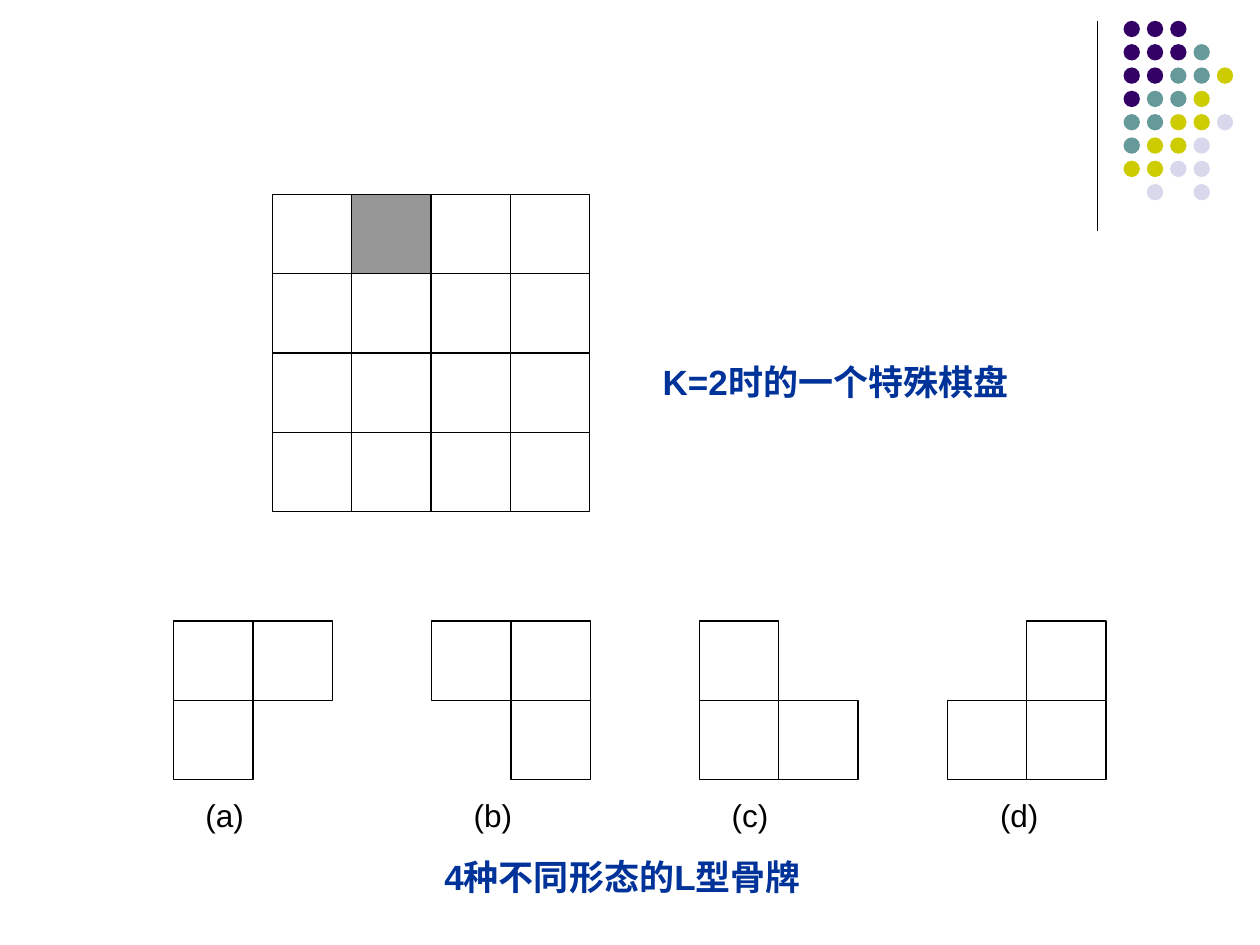
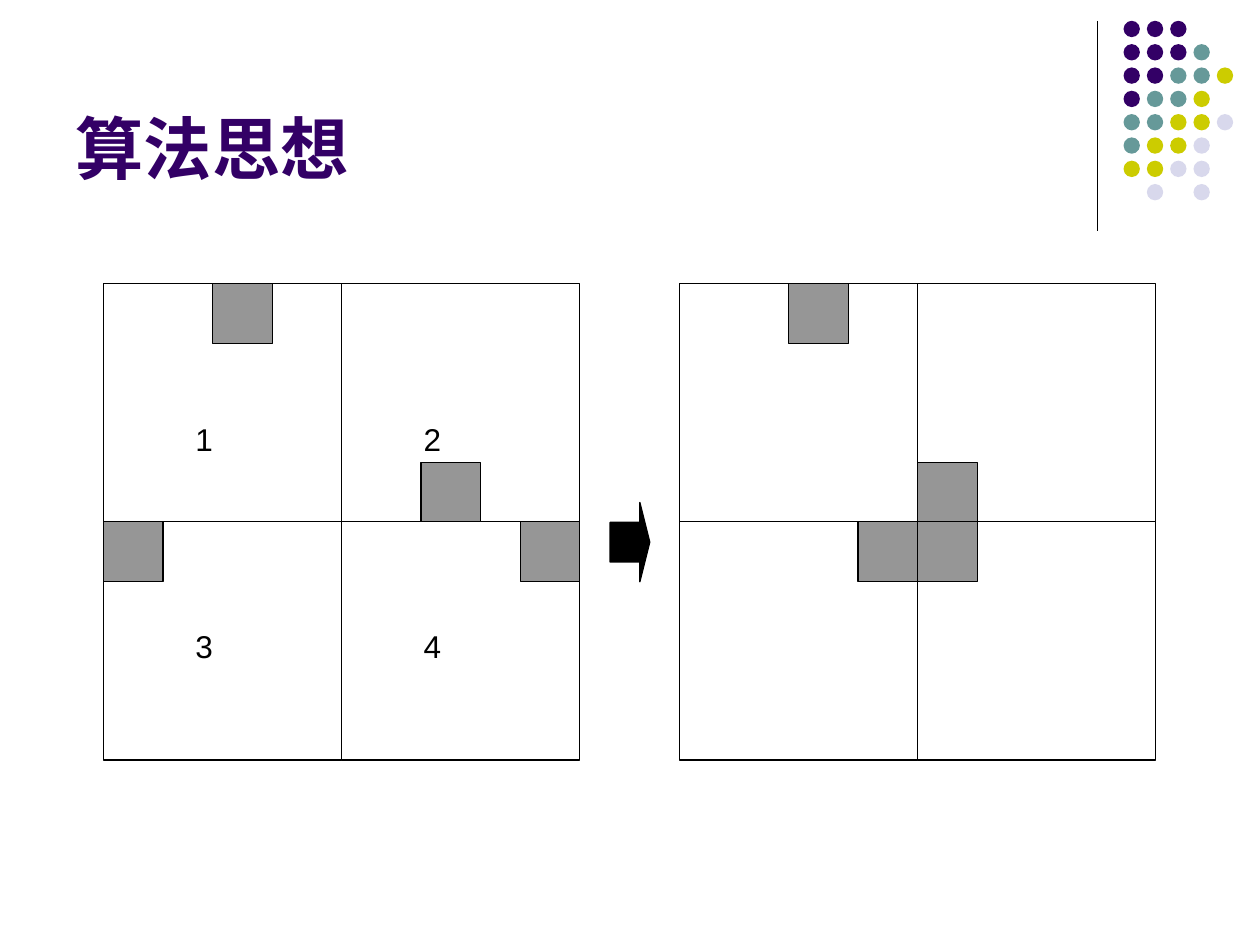
from dataclasses import dataclass

from lxml import etree
from pptx import Presentation
from pptx.dml.color import RGBColor
from pptx.enum import shapes, text
from pptx.oxml.ns import qn
from pptx.util import Cm, Pt


@dataclass(frozen=True)
class Theme:
    """Colours, type sizes and line width shared by the slides."""

    font: str = "Arial"
    ink: str = "000000"
    paper: str = "FFFFFF"
    marked: str = "969696"
    caption: str = "003399"
    purple: str = "330066"
    teal: str = "669999"
    olive: str = "CCCC00"
    pale: str = "D8D8EC"
    title_size: int = 39
    caption_size: int = 20
    label_size: int = 18
    line_width: float = 0.75


THEME = Theme()
CELL = 1.6
QUADRANT = 4.8
SMALL_CELL = QUADRANT / 4
DOT_ROWS = ("PPP", "PPPT", "PPTTY", "PTTY", "TTYYL", "TYYL", "YYLL", " L L")
DOT_COLORS = {"P": THEME.purple, "T": THEME.teal, "Y": THEME.olive, "L": THEME.pale}
DOMINOES = (
    ("(a)", 3.5, 3.89, ("##", "# ")),
    ("(b)", 8.7, 9.3, ("##", " #")),
    ("(c)", 14.1, 14.5, ("# ", "##")),
    ("(d)", 19.1, 19.91, (" #", "##")),
)
CELL_FILLS = {"#": THEME.paper, "X": THEME.marked}


def add_filled(parent, kind, x, y, w, h, fill, line=THEME.ink):
    """Add a flat preset shape, outlined unless line is None."""
    sp = parent.shapes.add_shape(kind, Cm(x), Cm(y), Cm(w), Cm(h))
    sp.shadow.inherit = False
    sp.fill.solid()
    sp.fill.fore_color.rgb = RGBColor.from_string(fill)
    if line is None:
        sp.line.fill.background()
    else:
        sp.line.color.rgb = RGBColor.from_string(line)
        sp.line.width = Pt(THEME.line_width)
    return sp


def add_square(parent, x, y, side, fill):
    """Add one outlined square."""
    return add_filled(parent, shapes.MSO_SHAPE.RECTANGLE, x, y, side, side, fill)


def add_pattern(slide, x, y, side, rows):
    """Add grouped squares wherever the rows of text hold a cell."""
    group = slide.shapes.add_group_shape()
    for i, row in enumerate(rows):
        for j, mark in enumerate(row):
            if mark in CELL_FILLS:
                add_square(group, x + j * side, y + i * side, side, CELL_FILLS[mark])
    return group


def format_paragraph(p, size, color, bold=False):
    """Set the font of a whole paragraph."""
    p.font.name = THEME.font
    p.font.size = Pt(size)
    p.font.bold = bold
    p.font.color.rgb = RGBColor.from_string(color)


def add_text(parent, content, x, y, w, h, size, color, bold=False):
    """Add a wrapped one-paragraph text box."""
    tf = parent.shapes.add_textbox(Cm(x), Cm(y), Cm(w), Cm(h)).text_frame
    tf.word_wrap = True
    p = tf.paragraphs[0]
    p.text = content
    format_paragraph(p, size, color, bold)


def add_label(parent, content, x, y, w):
    """Add a plain black label."""
    add_text(parent, content, x, y, w, 1.02, THEME.label_size, THEME.ink)


def add_caption(slide, content, x, y):
    """Add a bold blue caption."""
    add_text(slide, content, x, y, 8.2, 1.12, THEME.caption_size, THEME.caption, True)


def set_title(slide, content):
    """Fill and place the title placeholder."""
    sp = slide.shapes.title
    sp.left, sp.top, sp.width, sp.height = Cm(1.27), Cm(0.33), Cm(20.95), Cm(3.6)
    tf = sp.text_frame
    tf.auto_size = text.MSO_AUTO_SIZE.NONE
    tf.vertical_anchor = text.MSO_ANCHOR.BOTTOM
    p = tf.paragraphs[0]
    p.text = content
    p.alignment = text.PP_ALIGN.LEFT
    format_paragraph(p, THEME.title_size, THEME.purple, True)


def decorate_master(prs, slide):
    """Draw the corner rule and dots, then move them to the master."""
    rule = slide.shapes.add_connector(
        shapes.MSO_CONNECTOR.STRAIGHT, Cm(22.12), Cm(0.42), Cm(22.12), Cm(4.66))
    rule.line.color.rgb = RGBColor.from_string(THEME.ink)
    rule.line.width = Pt(THEME.line_width)
    etree.SubElement(rule.element.spPr, qn("a:effectLst"))
    dots = slide.shapes.add_group_shape()
    for i, row in enumerate(DOT_ROWS):
        for j, mark in enumerate(row):
            if mark in DOT_COLORS:
                add_filled(dots, shapes.MSO_SHAPE.OVAL, 22.65 + j * 0.47, 0.42 + i * 0.47,
                           0.33, 0.33, DOT_COLORS[mark], None)
    master = prs.slide_master
    for sp in (rule, dots):
        master.shapes.element.append(sp.element)
    for number, props in enumerate(master.element.iter(qn("p:cNvPr")), 1):
        props.set("id", str(number))


def add_quadrants(slide, x, y, marked_cells, labels=()):
    """Add a board of four quadrants with marked cells and labels."""
    group = add_pattern(slide, x, y, QUADRANT, ("##", "##"))
    for dx, dy in marked_cells:
        add_square(group, x + dx, y + dy, SMALL_CELL, THEME.marked)
    for i, label in enumerate(labels):
        add_label(group, label, x + (1.6, 6.2)[i % 2], y + (2.62, 6.8)[i // 2], 1.4)


def build_chessboard(slide):
    """Show the special board and the four L-shaped dominoes."""
    add_pattern(slide, 5.49, 3.92, CELL, ("#X##", "####", "####", "####"))
    add_caption(slide, "K=2时的一个特殊棋盘", 13.11, 7.14)
    for label, x, label_x, rows in DOMINOES:
        add_pattern(slide, x, 12.52, CELL, rows)
        add_label(slide, label, label_x, 15.93, 1.6)
    add_caption(slide, "4种不同形态的L型骨牌", 8.71, 17.12)


def build_idea(slide):
    """Show how a domino turns every quadrant into a special board."""
    set_title(slide, "算法思想")
    middle, before = QUADRANT, QUADRANT - SMALL_CELL
    special = (2.2, 0)
    add_quadrants(slide, 2.09, 5.72,
                  (special, (0, middle), (middle + before, middle), (6.4, before)), "1234")
    add_quadrants(slide, 13.7, 5.72,
                  (special, (before, middle), (middle, before), (middle, middle)))
    arrow = add_filled(slide, shapes.MSO_SHAPE.RIGHT_ARROW, 12.3, 10.13, 0.8, 1.6, THEME.ink)
    arrow.adjustments[0] = 0.5
    arrow.adjustments[1] = 0.25


def main():
    """Build and save the two slides."""
    prs = Presentation()
    prs.slide_width, prs.slide_height = Cm(25.4), Cm(19.05)
    blank, title_only = prs.slide_layouts[6], prs.slide_layouts[5]
    chessboard = prs.slides.add_slide(blank)
    decorate_master(prs, chessboard)
    build_chessboard(chessboard)
    build_idea(prs.slides.add_slide(title_only))
    prs.save("out.pptx")


if __name__ == "__main__":
    main()
